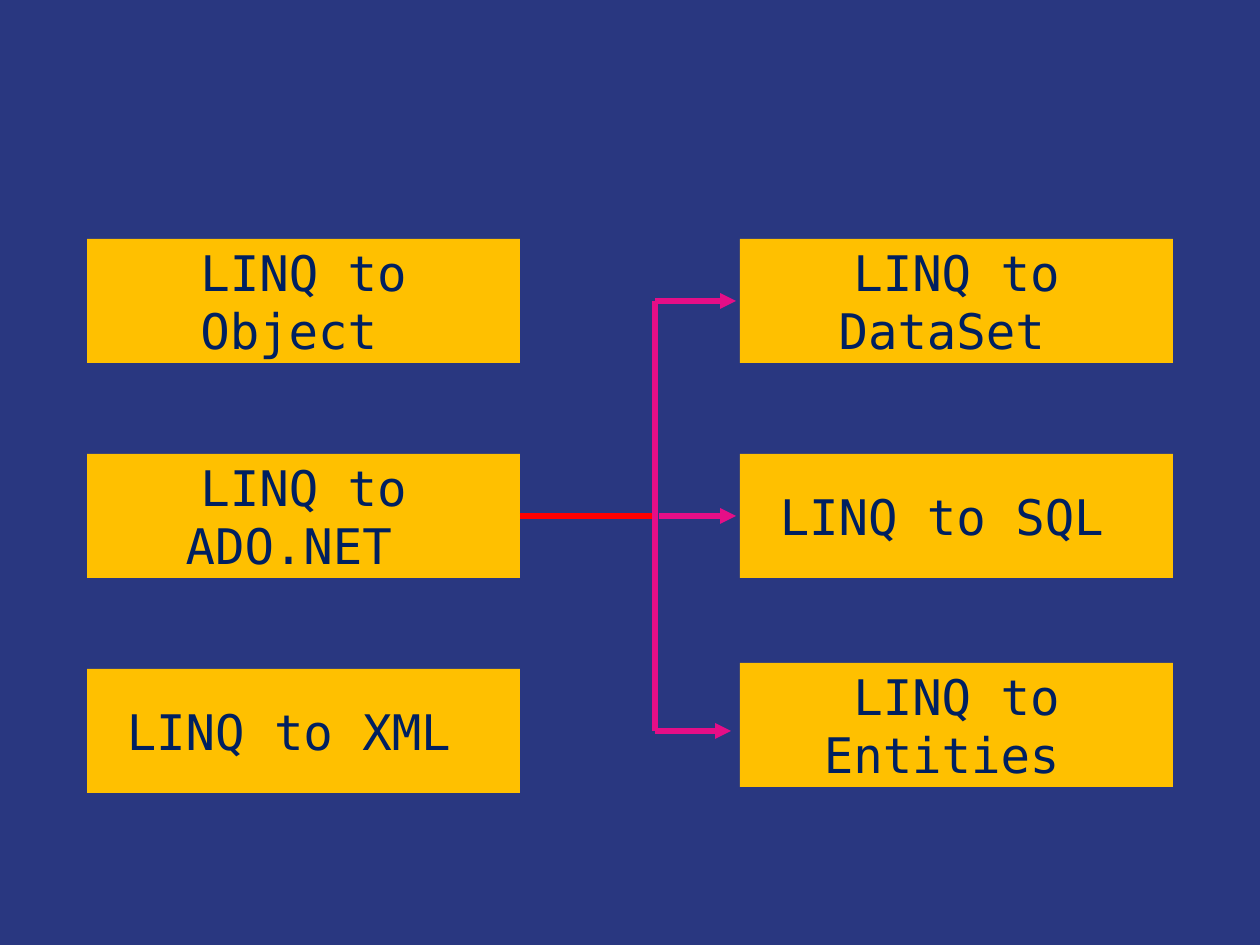
from pptx import Presentation
from pptx.dml.color import RGBColor
from pptx.enum.shapes import MSO_CONNECTOR, MSO_SHAPE
from pptx.enum.text import MSO_ANCHOR, PP_ALIGN
from pptx.oxml.ns import qn
from pptx.util import Emu, Pt
from lxml import etree

RECT = MSO_SHAPE.RECTANGLE
STRAIGHT = MSO_CONNECTOR.STRAIGHT
MIDDLE = MSO_ANCHOR.MIDDLE
CENTER = PP_ALIGN.CENTER

EMU_PER_PX = 914400 / 126
NAVY, GOLD, INK, RED, PINK = "293780", "FFC000", "002060", "FF0000", "E50E87"
BOX_W, BOX_H = 433, 124
LEFT_X, RIGHT_X, TRUNK_X = 87, 740, 655
TOP, PITCH = 239, 215
FONT = {"name": "DejaVu Sans Mono", "size": Pt(28)}


def px(n):
    """Turn pixels into EMU."""
    return Emu(round(n * EMU_PER_PX))


def color(value):
    """Turn a hex string into a colour."""
    return RGBColor.from_string(value)


def add_box(s, text, x, y):
    """Add a gold box with centred text."""
    sp = s.shapes.add_shape(RECT, px(x), px(y), px(BOX_W), px(BOX_H))
    sp.shadow.inherit = False
    sp.fill.solid()
    sp.fill.fore_color.rgb = color(GOLD)
    sp.line.fill.background()
    tf = sp.text_frame
    tf.word_wrap = True
    tf.vertical_anchor = MIDDLE
    p = tf.paragraphs[0]
    p.alignment = CENTER
    r = p.add_run()
    r.text = text
    for key, value in FONT.items():
        setattr(r.font, key, value)
    r.font.color.rgb = color(INK)
    return sp


def add_line(s, start, end, hex_color, arrow=False):
    """Add a straight line, with an arrowhead at its end if asked."""
    cn = s.shapes.add_connector(STRAIGHT, *map(px, start + end))
    cn.line.width = Pt(3)
    cn.line.color.rgb = color(hex_color)
    if arrow:
        etree.SubElement(cn.line._get_or_add_ln(), qn("a:tailEnd"), type="triangle")
    etree.SubElement(cn._element.spPr, qn("a:effectLst"))
    return cn


def main():
    """Build the slide of LINQ providers."""
    prs = Presentation()
    prs.slide_width, prs.slide_height = px(1260), px(945)
    s = prs.slides.add_slide(prs.slide_layouts[6])
    s.background.fill.solid()
    s.background.fill.fore_color.rgb = color(NAVY)

    tops = [TOP + i * PITCH for i in range(3)]
    upper, middle, lower = [y + BOX_H // 2 for y in tops]

    providers = ["LINQ to Object ", "LINQ to ADO.NET ", "LINQ to XML "]
    boxes = [add_box(s, text, LEFT_X, y) for text, y in zip(providers, tops)]

    stem = add_line(s, (LEFT_X + BOX_W, middle), (TRUNK_X, middle), RED)
    stem.begin_connect(boxes[1], 3)
    add_line(s, (TRUNK_X, upper), (TRUNK_X, lower), PINK)
    for x1, x2, y in [(TRUNK_X, 736, upper), (TRUNK_X, 731, lower), (659, 736, middle)]:
        add_line(s, (x1, y), (x2, y), PINK, arrow=True)

    ado_parts = [("LINQ to DataSet ", tops[0]), ("LINQ to SQL ", tops[1]),
                 ("LINQ to Entities ", 663)]
    for text, y in ado_parts:
        add_box(s, text, RIGHT_X, y)

    prs.save("out.pptx")


if __name__ == "__main__":
    main()
